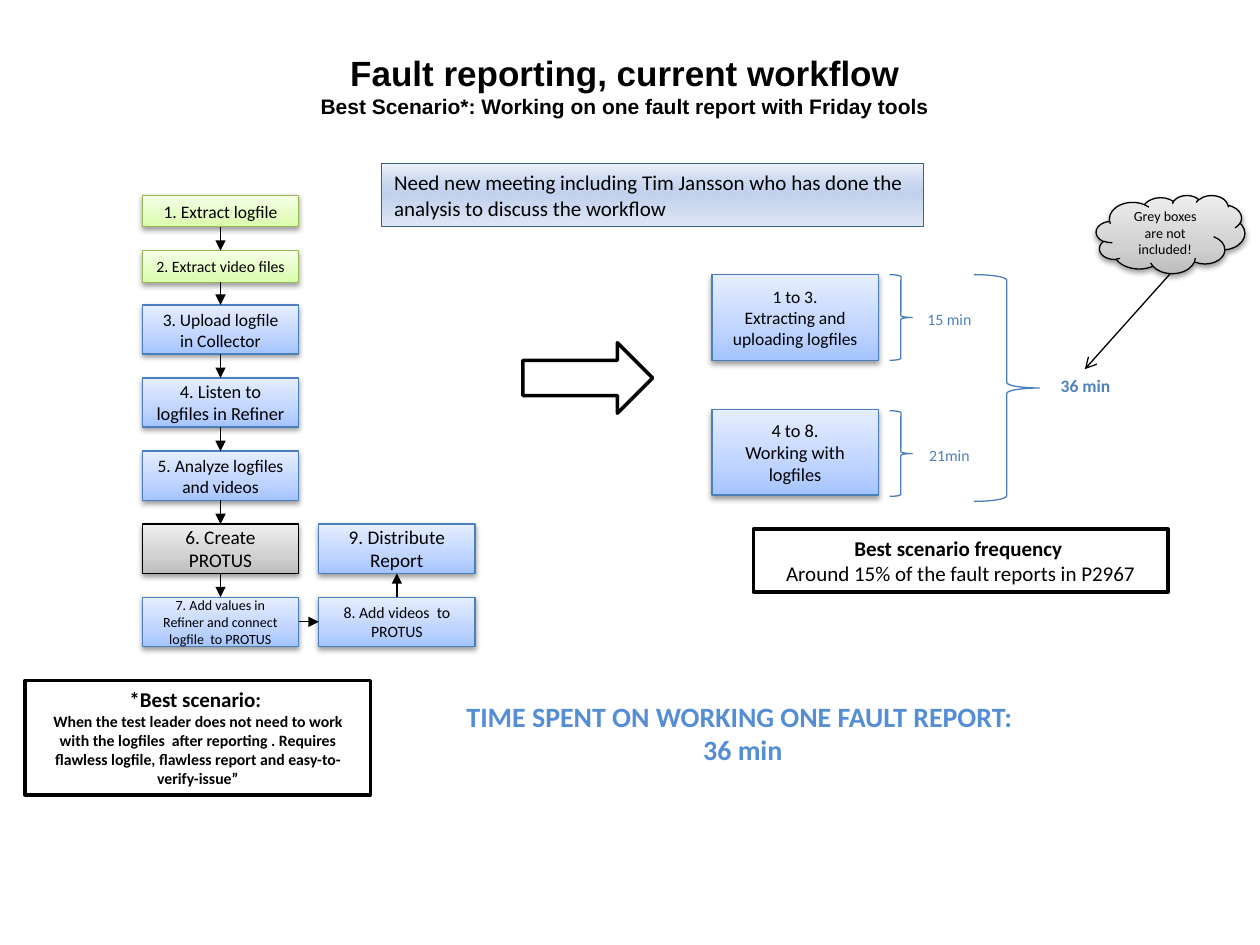
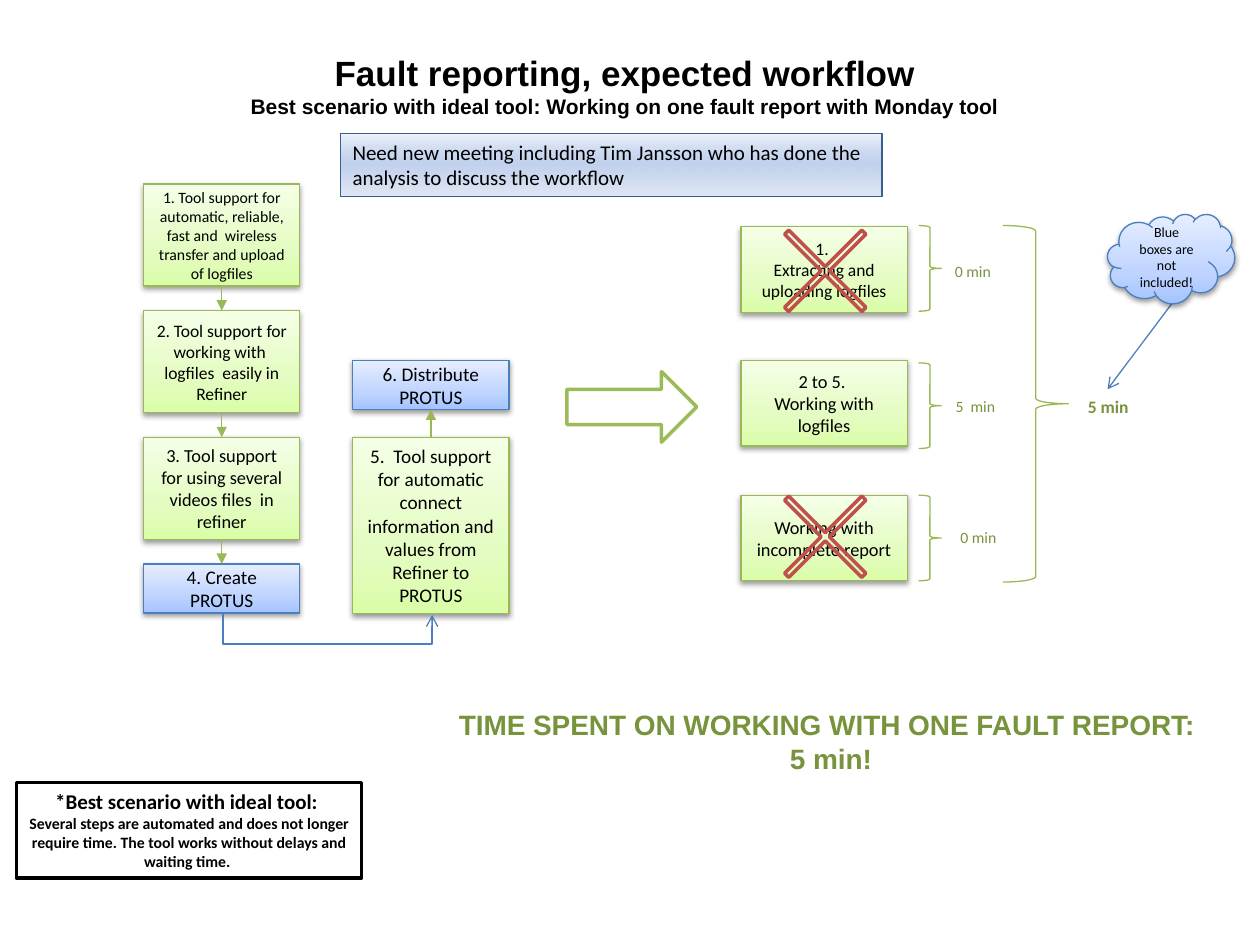
"""Build two slides that compare the current and the expected fault reporting workflow."""
import copy

import pptx
import pptx.dml.color
import pptx.enum.shapes
import pptx.enum.text
import pptx.oxml
import pptx.oxml.ns
import pptx.util

SHAPE = pptx.enum.shapes.MSO_SHAPE
LINE = pptx.enum.shapes.MSO_CONNECTOR
ALIGN = pptx.enum.text.PP_ALIGN
ANCHOR = pptx.enum.text.MSO_ANCHOR
A = pptx.oxml.ns.nsdecls("a")
qn = pptx.oxml.ns.qn

prs = pptx.Presentation()
prs.slide_width, prs.slide_height = pptx.util.Inches(10), pptx.util.Inches(7.5)
COL, ROW = prs.slide_width / 100, prs.slide_height / 75

BASE = dict(fill=None, angle=90, line=None, width=0.75, shadow=False, font="Calibri",
            color="000000", align=ALIGN.CENTER, anchor=ANCHOR.TOP, wrap=True, adjust=None)
CARD = dict(BASE, shadow=True, anchor=ANCHOR.MIDDLE)
BLUE_LINE, GREEN_LINE, BLACK = "4B7EBC", "98B955", "000000"
BLUE_TEXT, GREEN_TEXT = "4F81BD", "77933C"
LOOKS = {
    "blue": dict(CARD, line=BLUE_LINE,
                 fill=[(0, "A4C4FF", 100), (35, "BFD4FF", 100), (100, "E6EEFF", 100)]),
    "green": dict(CARD, line=GREEN_LINE,
                  fill=[(0, "DAFDA7", 100), (35, "E4FCC2", 100), (100, "F5FFE7", 100)]),
    "grey": dict(CARD, line=BLACK,
                 fill=[(0, "BDBDBD", 100), (35, "D1D1D1", 100), (100, "EEEEEE", 100)]),
    "banner": dict(BASE, line="3A5F8C", angle=270, align=ALIGN.LEFT,
                   fill=[(0, "9AB5E4", 14), (50, "C2D1ED", 100), (100, "E1E8F5", 100)]),
    "note": dict(BASE, fill="FFFFFF", line=BLACK, width=2),
    "green arrow": dict(BASE, fill="FFFFFF", line="9BBB59", width=2),
    "cross": dict(BASE, line="C0504D", width=2, adjust=0.039),
    "blue brace": dict(BASE, line=BLUE_LINE),
    "green brace": dict(BASE, line=GREEN_LINE),
    "blue label": dict(BASE, color=BLUE_TEXT),
    "green label": dict(BASE, color=GREEN_TEXT),
    "blue headline": dict(BASE, color="558ED5"),
    "green headline": dict(BASE, color=GREEN_TEXT, font="Arial", wrap=False),
    "title": dict(BASE, font="Arial", wrap=False),
}


def rgb(value):
    return pptx.dml.color.RGBColor.from_string(value)


def add(s, kind, x, y, w, h, look, *paragraphs):
    f = LOOKS[look]
    sp = s.shapes.add_shape(kind, round(x * COL), round(y * ROW), round(w * COL), round(h * ROW))
    sp.shadow.inherit = False
    if f["fill"] is None:
        sp.fill.background()
    elif isinstance(f["fill"], str):
        sp.fill.solid()
        sp.fill.fore_color.rgb = rgb(f["fill"])
    else:
        sp.fill.gradient()
        sp.fill.gradient_angle = f["angle"]
        stops = sp._element.spPr.find(qn("a:gradFill")).find(qn("a:gsLst"))
        stops.clear()
        for place, value, alpha in f["fill"]:
            stops.append(pptx.oxml.parse_xml(
                f'<a:gs {A} pos="{place * 1000}"><a:srgbClr val="{rgb(value)}">'
                f'<a:alpha val="{alpha * 1000}"/></a:srgbClr></a:gs>'))
    if f["line"]:
        sp.line.color.rgb = rgb(f["line"])
        sp.line.width = pptx.util.Pt(f["width"])
    else:
        sp.line.fill.background()
    if f["shadow"]:
        sp._element.spPr.find(qn("a:effectLst")).append(pptx.oxml.parse_xml(
            f'<a:outerShdw {A} blurRad="40000" dist="20000" dir="5400000" rotWithShape="0">'
            '<a:srgbClr val="000000"><a:alpha val="38000"/></a:srgbClr></a:outerShdw>'))
    if f["adjust"]:
        sp.adjustments[0] = f["adjust"]
    tf = sp.text_frame
    tf.word_wrap, tf.vertical_anchor = f["wrap"], f["anchor"]
    for i, runs in enumerate(paragraphs):
        p = tf.add_paragraph() if i else tf.paragraphs[0]
        p.alignment = f["align"]
        for text, size, bold in runs:
            for n, part in enumerate(text.split("\n")):
                if n:
                    p.add_line_break()
                    p._p[-1].insert(0, copy.deepcopy(r._r.rPr))
                if part:
                    r = p.add_run()
                    r.text = part
                    fmt = dict(name=f["font"], size=pptx.util.Pt(size), bold=bold)
                    for key, value in fmt.items():
                        setattr(r.font, key, value)
                    r.font.color.rgb = rgb(f["color"])
    return sp


STEP_W, STEP_H, TALL_H, GROUP_W, GROUP_H = 12.4, 3.9, 8.1, 13.2, 6.8
NOW_ROWS = [24.2 + 5.8 * i for i in range(5)]
NEXT_ROWS = [14.6 + 10.05 * i for i in range(4)]

slides = [
    dict(
        title=(24.4, 50.4, "Fault reporting, current workflow",
               "Best Scenario*: Working on one fault report with Friday tools"),
        steps=[
            (11.3, 15.5, 2.5, "green", 10, "1. Extract logfile"),
            (11.3, 19.9, 2.5, "green", 9, "2. Extract video files"),
            (11.3, NOW_ROWS[0], STEP_H, "blue", 10, "3. Upload logfile in Collector"),
            (11.3, NOW_ROWS[1], STEP_H, "blue", 10.5, "4. Listen to logfiles in Refiner"),
            (11.3, NOW_ROWS[2], STEP_H, "blue", 10, "5. Analyze logfiles and videos"),
            (11.3, NOW_ROWS[3], STEP_H, "grey", 11, "6. Create PROTUS"),
            (11.3, NOW_ROWS[4], STEP_H, "blue", 8,
             "7. Add values in Refiner and connect logfile  to PROTUS"),
            (25.3, NOW_ROWS[4], STEP_H, "blue", 9, "8. Add videos  to PROTUS"),
            (25.3, NOW_ROWS[3], STEP_H, "blue", 11, "9. Distribute Report"),
        ],
        links=[(i, 2, i + 1, 0) for i in range(6)] + [(6, 3, 7, 1), (7, 0, 8, 2)],
        link_color=BLACK,
        hue="blue", group_x=56.5, brace_x=70.6, total_x=77.3,
        groups=[
            (21.8, 10, "1 to 3.\nExtracting and uploading logfiles", 21.8, 71.5, 24.1, "15 min"),
            (32.5, 10.5, "4 to 8.\nWorking with logfiles", 32.6, 71.5, 34.9, "21min"),
        ],
        total=(21.8, 18, 82.3, 29.3, "36 min"),
        arrow=(41.5, 27.2, "note"),
        cloud=(87, 15.5, 11.8, 6.2, "grey", "Grey boxes are not included!"),
        pointer=(92.9, 21.7, 86.1, 29.3, BLACK),
        headline=(32.5, 55, 52.9, "TIME SPENT ON WORKING ONE FAULT REPORT: \n36 min"),
        notes=[
            (2, 54, 27.4, 9.1, [
                ("*Best scenario: \n", 12, True),
                ("When the test leader does not need to work with the logfiles  after reporting . "
                 "Requires flawless logfile, flawless report and easy-to-verify-issue”", 9, True)]),
            (59.8, 42, 32.9, 5, [
                ("Best scenario frequency \n", 12, True),
                ("Around 15% of the fault reports in P2967", 12, False)]),
        ],
        crosses=[], elbow=None, banner=(30.3, 13),
    ),
    dict(
        title=(17.3, 64.6, "Fault reporting, expected workflow",
               "Best scenario with ideal tool: Working on one fault report with Monday tool"),
        steps=[
            (11.4, NEXT_ROWS[0], TALL_H, "green", 9,
             "1. Tool support for automatic, reliable, fast and  wireless transfer and upload of logfiles"),
            (11.4, NEXT_ROWS[1], TALL_H, "green", 10,
             "2. Tool support for working with  logfiles  easily in Refiner"),
            (11.4, NEXT_ROWS[2], TALL_H, "green", 10.5,
             "3. Tool support for using several videos files  in refiner"),
            (11.4, NEXT_ROWS[3], STEP_H, "blue", 11, "4. Create PROTUS"),
            (28, NEXT_ROWS[2], 14, "green", 11,
             "5.  Tool support for automatic connect information and values from Refiner to PROTUS"),
            (28, 28.6, STEP_H, "blue", 11, "6. Distribute PROTUS"),
        ],
        links=[(i, 2, i + 1, 0) for i in range(3)] + [(4, 0, 5, 2)],
        link_color=GREEN_LINE,
        hue="green", group_x=58.8, brace_x=72.9, total_x=79.6,
        groups=[
            (18, 10, "1. \nExtracting and uploading logfiles", 17.9, 73.5, 20.3, "0 min "),
            (28.6, 10.5, "2 to 5. \nWorking with logfiles", 28.8, 73.7, 31, "5  min "),
            (39.3, 10.5, "Working with incomplete report", 39.3, 73.8, 41.4, "0 min"),
        ],
        total=(17.9, 28.3, 84.1, 30.9, "5 min"),
        arrow=(45, 29.5, "green arrow"),
        cloud=(87.9, 17, 10.1, 7.1, "blue", "Blue boxes are not included!"),
        pointer=(93, 24.1, 87.9, 30.9, BLUE_LINE),
        headline=(34.6, 55.7, 62.7, "TIME SPENT ON WORKING WITH ONE FAULT REPORT: \n5 min!"),
        notes=[
            (1.3, 62.1, 27.4, 7.6, [
                ("*Best scenario with ideal tool: \n", 12, True),
                ("Several steps are automated and does not longer require time. "
                 "The tool works without delays and waiting time. ", 9, True)]),
        ],
        crosses=[15.6, 36.7], elbow=(26.1, 40.4, 25.9, 57), banner=(27, 10.6),
    ),
]

for d in slides:
    s = prs.slides.add_slide(prs.slide_layouts[6])
    x, w, heading, subheading = d["title"]
    add(s, SHAPE.RECTANGLE, x, 3.6, w, 6.4, "title",
        [(heading, 20, True)], [(subheading, 12, True)])

    steps = [add(s, SHAPE.RECTANGLE, x, y, STEP_W, h, look, [(text, size, False)])
             for x, y, h, look, size, text in d["steps"]]
    x, y, look = d["arrow"]
    add(s, SHAPE.RIGHT_ARROW, x, y, 10.3, 5.6, look)

    hue = d["hue"]
    for y, size, text, brace_y, label_x, label_y, label in d["groups"]:
        add(s, SHAPE.RECTANGLE, d["group_x"], y, GROUP_W, GROUP_H, hue, [(text, size, False)])
        add(s, SHAPE.RIGHT_BRACE, d["brace_x"], brace_y, 1.8, GROUP_H, f"{hue} brace")
        add(s, SHAPE.RECTANGLE, label_x, label_y, 7.7, 2.5, f"{hue} label", [(label, 9, False)])
    y, h, label_x, label_y, label = d["total"]
    add(s, SHAPE.RIGHT_BRACE, d["total_x"], y, 5.2, h, f"{hue} brace")
    add(s, SHAPE.RECTANGLE, label_x, label_y, 7.7, 2.7, f"{hue} label", [(label, 10, True)])
    for y in d["crosses"]:
        add(s, SHAPE.MATH_MULTIPLY, 59.6, y, 11.8, 11.8, "cross")

    x, y, w, text = d["headline"]
    add(s, SHAPE.RECTANGLE, x, y, w, 6.4, f"{hue} headline", [(text, 16, True)])
    for x, y, w, h, runs in d["notes"]:
        add(s, SHAPE.RECTANGLE, x, y, w, h, "note", runs)

    lines = []
    for start, start_side, end, end_side in d["links"]:
        c = s.shapes.add_connector(LINE.STRAIGHT, 0, 0, 0, 0)
        c.begin_connect(steps[start], start_side)
        c.end_connect(steps[end], end_side)
        lines.append((c, d["link_color"], "triangle"))
    x1, y1, x2, y2, color = d["pointer"]
    c = s.shapes.add_connector(LINE.STRAIGHT, round(x1 * COL), round(y1 * ROW),
                               round(x2 * COL), round(y2 * ROW))
    lines.append((c, color, "arrow"))
    if d["elbow"]:
        x1, y1, x2, y2 = d["elbow"]
        c = s.shapes.add_connector(LINE.ELBOW, round(x1 * COL), round(y1 * ROW),
                                   round(x2 * COL), round(y2 * ROW))
        c._element.spPr.find(qn("a:xfrm")).set("rot", "16200000")
        c._element.spPr.find(qn("a:prstGeom")).find(qn("a:avLst")).append(
            pptx.oxml.parse_xml(f'<a:gd {A} name="adj1" fmla="val 1250000"/>'))
        lines.append((c, BLUE_LINE, "arrow"))
    for c, color, head in lines:
        c.line.color.rgb = rgb(color)
        c.line.width = pptx.util.Pt(0.75)
        c.line._get_or_add_ln().append(pptx.oxml.parse_xml(f'<a:tailEnd {A} type="{head}"/>'))
        c._element.spPr.append(pptx.oxml.parse_xml(f"<a:effectLst {A}/>"))

    x, y, w, h, look, text = d["cloud"]
    add(s, SHAPE.CLOUD, x, y, w, h, look, [(text, 8, False)])
    x, y = d["banner"]
    add(s, SHAPE.RECTANGLE, x, y, 43, 5, "banner",
        [("Need new meeting including Tim Jansson who has done the analysis to discuss the workflow",
          12, False)])

prs.save("out.pptx")
